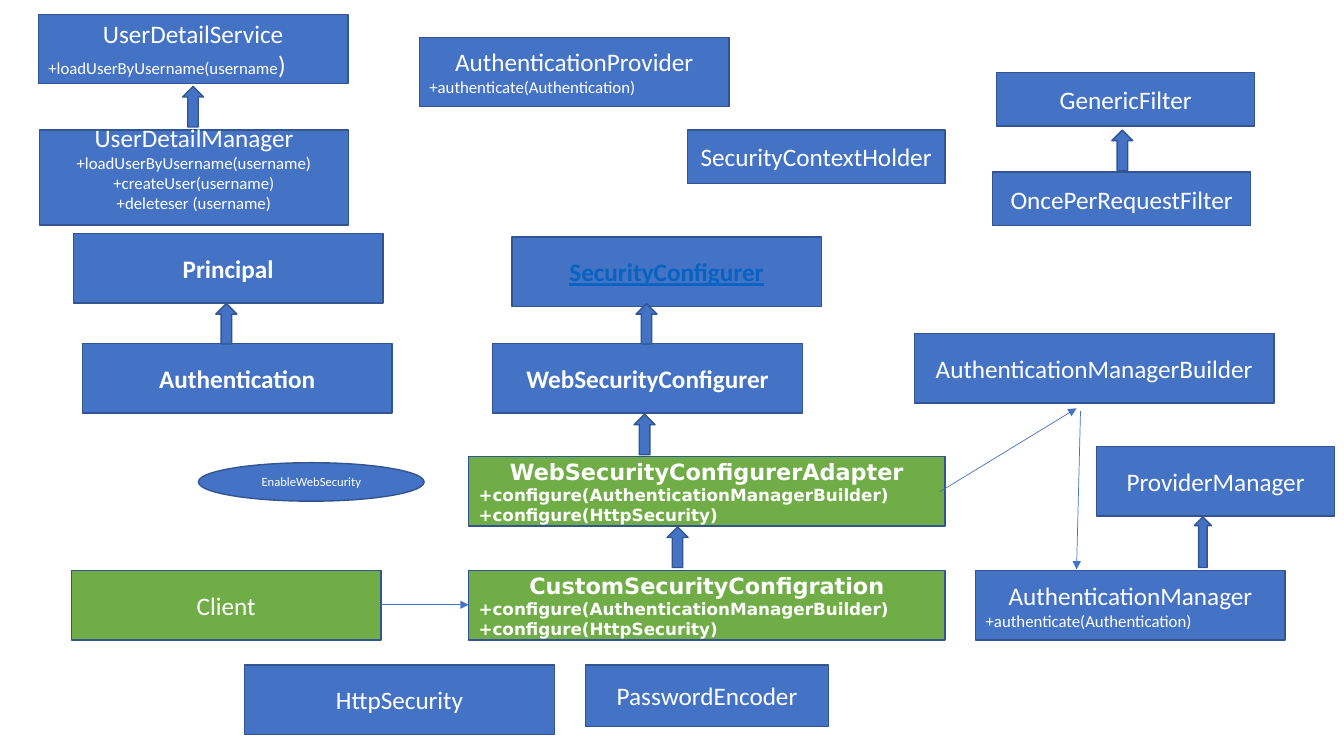
from dataclasses import dataclass

from lxml.etree import SubElement
from pptx import Presentation
from pptx.dml.color import RGBColor as Rgb
from pptx.enum.shapes import MSO_CONNECTOR as Connector, MSO_SHAPE as Shape
from pptx.enum.text import MSO_ANCHOR as Anchor, PP_ALIGN as Align
from pptx.oxml.ns import qn
from pptx.util import Cm, Pt


@dataclass(frozen=True)
class Theme:
    blue: Rgb = Rgb(0x44, 0x72, 0xC4)
    green: Rgb = Rgb(0x70, 0xAD, 0x47)
    outline: Rgb = Rgb(0x32, 0x54, 0x91)
    white: Rgb = Rgb(0xFF, 0xFF, 0xFF)
    link: Rgb = Rgb(0x05, 0x63, 0xC1)
    font: str = "Calibri"
    code_font: str = "DejaVu Sans"
    title: int = 18
    code_title: int = 16
    member: int = 12
    note: int = 9


class ClassDiagram:
    def __init__(self, slide, theme):
        self.slide, self.theme = slide, theme

    def figure(self, kind, left, top, width, height, fill=None):
        figure = self.slide.shapes.add_shape(
            kind, Cm(left), Cm(top), Cm(width), Cm(height))
        figure.shadow.inherit = False
        figure.fill.solid()
        figure.fill.fore_color.rgb = fill or self.theme.blue
        figure.line.color.rgb = self.theme.outline
        figure.line.width = Pt(1)
        return figure

    def label(self, paragraph, text, size, font=None, bold=False, color=None,
              underline=False):
        run = paragraph.add_run()
        run.text = text
        run.font.name = font or self.theme.font
        run.font.size = Pt(size)
        run.font.bold = bold
        run.font.underline = underline
        run.font.color.rgb = color or self.theme.white

    def box(self, title, left, top, width=7.8, height=1.75, members=(),
            member_align=Align.LEFT, kind=Shape.RECTANGLE, fill=None,
            size=None, **style):
        """Draw a class box; return its text frame."""
        frame = self.figure(kind, left, top, width, height, fill).text_frame
        frame.word_wrap = True
        frame.vertical_anchor = Anchor.MIDDLE
        heading = frame.paragraphs[0]
        heading.alignment = Align.CENTER
        self.label(heading, title, size or self.theme.title, **style)
        for member in members:
            line = frame.add_paragraph()
            line.alignment = member_align
            self.label(line, member, self.theme.member, **style)
        return frame

    def up_arrow(self, left, top, width=0.53, height=1.02):
        self.figure(Shape.UP_ARROW, left, top, width, height)

    def link(self, *ends):
        link = self.slide.shapes.add_connector(
            Connector.STRAIGHT, *(Cm(end) for end in ends))
        link.line.color.rgb = self.theme.blue
        link.line.width = Pt(0.5)
        properties = link._element.spPr
        SubElement(properties.get_or_add_ln(), qn("a:tailEnd"), type="triangle")
        SubElement(properties, qn("a:effectLst"))


def main():
    deck = Presentation()
    deck.slide_width, deck.slide_height = Cm(33.87), Cm(19.05)
    theme = Theme()
    diagram = ClassDiagram(deck.slides.add_slide(deck.slide_layouts[6]), theme)
    box = diagram.box

    # User details
    service = box("UserDetailService", 0.97, 0.36,
                  members=["+loadUserByUsername(username"])
    diagram.label(service.paragraphs[-1], ")", theme.title)
    manager = box("UserDetailManager", 0.99, 3.28, height=2.39,
                  members=["+loadUserByUsername(username)",
                           "+createUser(username)", "+deleteser (username)"],
                  member_align=Align.CENTER)
    manager.margin_bottom = Cm(0.64)

    # Authentication
    authenticate = ["+authenticate(Authentication)"]
    box("AuthenticationProvider", 10.57, 0.94, members=authenticate)
    box("Principal", 1.85, 5.89, bold=True)
    box("Authentication", 2.08, 8.66, bold=True)
    box("AuthenticationManagerBuilder", 23.04, 8.41, width=9.07)
    box("ProviderManager", 27.64, 11.25, width=5.99)
    box("AuthenticationManager", 24.59, 14.38, members=authenticate)

    # Filters and context
    for name, left, top in [("GenericFilter", 25.12, 1.83),
                            ("OncePerRequestFilter", 25.02, 4.34),
                            ("SecurityContextHolder", 17.32, 3.28)]:
        box(name, left, top, width=6.5, height=1.35)

    # Security configuration
    box("SecurityConfigurer", 12.9, 5.97, bold=True, underline=True,
        color=theme.link)
    box("WebSecurityConfigurer", 12.42, 8.66, bold=True)
    for name, top in [("WebSecurityConfigurerAdapter", 11.51),
                      ("CustomSecurityConfigration", 14.38)]:
        box(name, 11.81, top, width=12.01, fill=theme.green, bold=True,
            font=theme.code_font, size=theme.code_title,
            members=["+configure(AuthenticationManagerBuilder)",
                     "+configure(HttpSecurity)"])
    box("Client", 1.8, 14.38, fill=theme.green)
    box("EnableWebSecurity", 5, 11.66, 5.69, 0.97, kind=Shape.OVAL,
        size=theme.note)
    box("HttpSecurity", 6.17, 16.76)
    box("PasswordEncoder", 14.76, 16.76, 6.12, 1.55)

    # Inheritance arrows
    for left, top in [(4.6, 2.18), (5.44, 7.65), (16.03, 7.65),
                      (15.98, 10.44), (16.81, 13.28), (28.02, 3.28)]:
        diagram.up_arrow(left, top)
    diagram.up_arrow(30.1, 13.03, 0.43, 1.27)

    # Usage links
    diagram.link(9.6, 15.24, 11.81, 15.24)
    diagram.link(23.67, 12.4, 27.13, 10.29)
    diagram.link(27.23, 10.36, 27.13, 14.35)

    deck.save("out.pptx")


if __name__ == "__main__":
    main()
